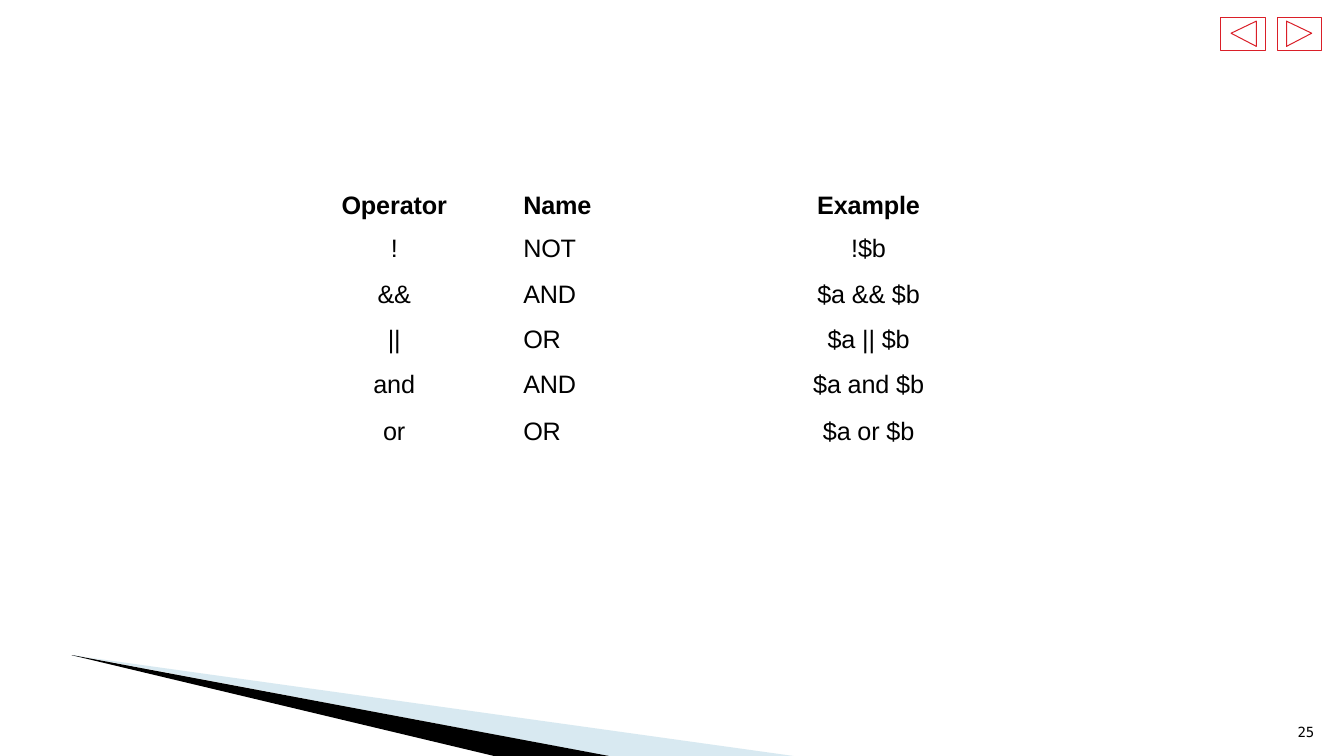
from lxml.etree import SubElement
from pptx import Presentation
from pptx.dml.color import RGBColor
from pptx.enum.shapes import MSO_SHAPE
from pptx.enum.text import MSO_ANCHOR, PP_ALIGN
from pptx.oxml.ns import qn
from pptx.util import Inches, Pt

BLACK, PALE_BLUE, RED = "000000", "9FCADC", "DA1F28"


def rgb(value):
    return RGBColor.from_string(value)


def write(tf, text, font="Arial", size=18, bold=False, align=PP_ALIGN.LEFT,
          before=0, line=None, spacing=-10):
    p = tf.paragraphs[0]
    p.alignment = align
    p.space_before = Pt(before)
    if line:
        p.line_spacing = Pt(line)
    r = p.add_run()
    r.text = text
    r.font.name, r.font.size, r.font.bold = font, Pt(size), bold
    r.font.color.rgb = rgb(BLACK)
    r._r.get_or_add_rPr().set("spc", str(spacing))


class Deck:
    """Draws styled elements on the current slide."""

    def __init__(self, s, line_color=RED, line_width=0.72):
        self.s = s
        self.line_color = line_color
        self.line_width = line_width

    def paint(self, sp, fill=None, alpha=None):
        sp.shadow.inherit = False
        if fill:
            sp.fill.solid()
            sp.fill.fore_color.rgb = rgb(fill)
            sp.line.fill.background()
            if alpha:
                color = sp._element.spPr.find(qn("a:solidFill"))[0]
                SubElement(color, qn("a:alpha")).set("val", str(alpha * 1000))
        else:
            sp.fill.background()
            sp.line.color.rgb = rgb(self.line_color)
            sp.line.width = Pt(self.line_width)

    def polygon(self, *contours, fill=None, alpha=None):
        builder = None
        for points in contours:
            (x, y), *rest = [(Inches(x), Inches(y)) for x, y in points]
            if builder is None:
                builder = self.s.shapes.build_freeform(x, y)
            else:
                builder.move_to(x, y)
            builder.add_line_segments(rest, close=True)
        self.paint(builder.convert_to_shape(), fill, alpha)

    def nav_button(self, left, base, tip):
        self.polygon([(tip, 0.33), (base, 0.21), (base, 0.46)])
        self.paint(self.s.shapes.add_shape(
            MSO_SHAPE.RECTANGLE, Inches(left), Inches(0.17), Inches(0.44), Inches(0.33)))

    def table(self, left, top, widths, heights, rows, aligns, indents):
        frame = self.s.shapes.add_table(
            len(rows), len(widths), Inches(left), Inches(top),
            Inches(sum(widths)), Inches(sum(heights)))
        table = frame.table
        table.first_row = table.horz_banding = False
        for column, width in zip(table.columns, widths):
            column.width = Inches(width)
        last = len(rows) - 1
        for i, (height, texts) in enumerate(zip(heights, rows)):
            table.rows[i].height = Inches(height)
            for j, text in enumerate(texts):
                cell = table.cell(i, j)
                cell.fill.background()
                cell.vertical_anchor = MSO_ANCHOR.TOP
                cell.margin_left = Inches(indents[j])
                cell.margin_right = cell.margin_bottom = 0
                cell.margin_top = Inches(0.06 if i else 0)
                write(cell.text_frame, text, bold=i == 0, align=aligns[j],
                      before=4.5 if i else 0, line={0: 19.9, last: 20.8}.get(i))

    def text(self, left, top, width, height, text, **fmt):
        box = self.s.shapes.add_textbox(
            Inches(left), Inches(top), Inches(width), Inches(height))
        tf = box.text_frame
        tf.word_wrap = True
        tf.margin_left, tf.margin_top = Inches(0.04), Inches(0.03)
        tf.margin_right = tf.margin_bottom = 0
        write(tf, text, **fmt)


def main():
    prs = Presentation()
    prs.slide_width, prs.slide_height = Inches(13.33), Inches(7.5)
    deck = Deck(prs.slides.add_slide(prs.slide_layouts[6]))

    deck.polygon([(0.85, 6.52), (6.03, 7.5), (7.87, 7.5)],
                 [(0.73, 6.5), (0.73, 6.51), (0.85, 6.52)],
                 fill=PALE_BLUE, alpha=40)
    deck.polygon([(0.71, 6.5), (0.72, 6.5), (6.04, 7.5), (4.9, 7.5)], fill=BLACK)
    deck.nav_button(12.11, base=12.46, tip=12.21)
    deck.nav_button(12.67, base=12.76, tip=13.01)

    rows = [
        ("Operator", "Name", "Example"),
        ("!", "NOT", "!$b"),
        ("&&", "AND", "$a && $b"),
        ("||", "OR", "$a || $b"),
        ("and", "AND", "$a and $b"),
        ("or", "OR", "$a or $b"),
    ]
    deck.table(3.12, 1.9, [1.58, 2.26, 2.25], [0.37] + [0.45] * 4 + [0.36], rows,
               aligns=[PP_ALIGN.CENTER, PP_ALIGN.LEFT, PP_ALIGN.CENTER],
               indents=[0, 0.49, 1.06])
    deck.text(12.83, 7.15, 0.26, 0.24, "25",
              font="DejaVu Sans Mono", size=10, before=1.9)
    prs.save("out.pptx")


if __name__ == "__main__":
    main()
